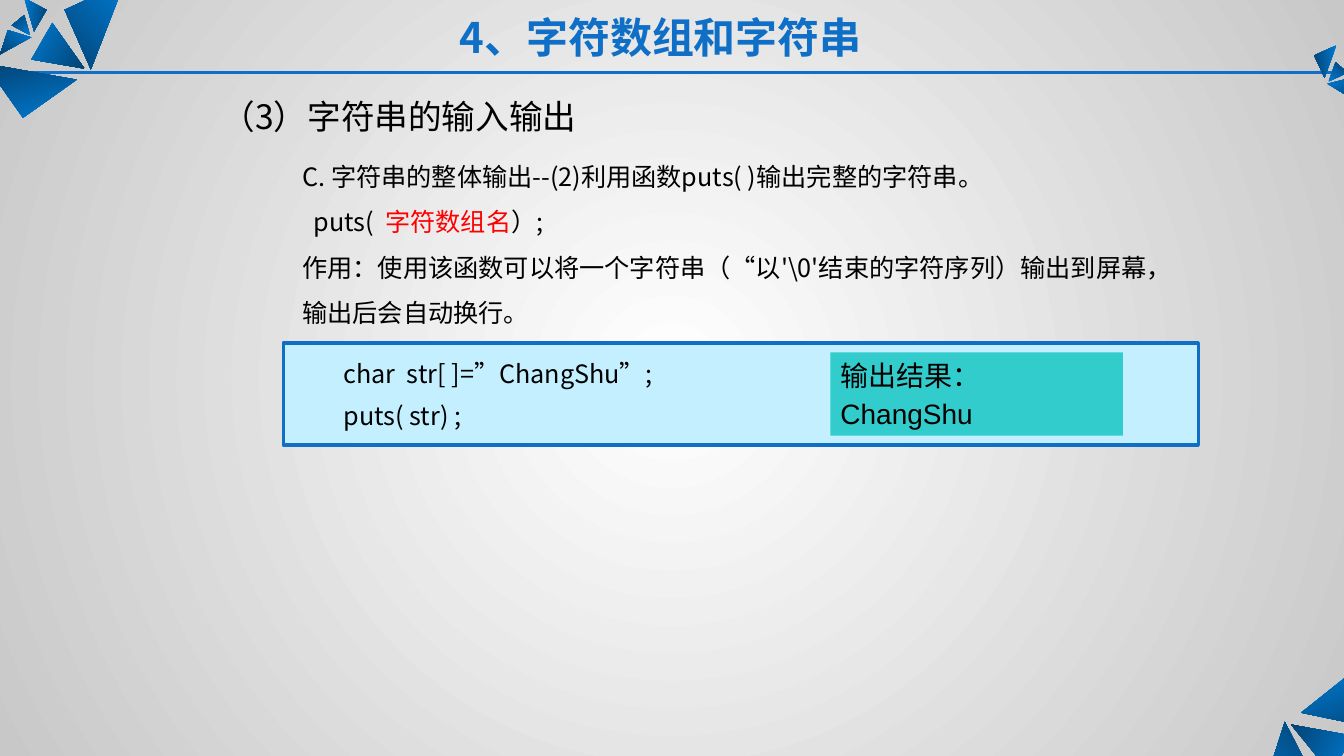
from lxml import etree
from pptx import Presentation
from pptx.dml.color import RGBColor
from pptx.enum.shapes import MSO_CONNECTOR, MSO_SHAPE
from pptx.enum.text import MSO_ANCHOR, MSO_AUTO_SIZE, PP_ALIGN
from pptx.oxml.ns import qn
from pptx.util import Cm, Pt

BLUE = "0F6FC6"
BLACK = "000000"
CJK_FONT = "Noto Sans CJK SC"


def rgb(value):
    return RGBColor.from_string(value)


def style(frame, size, line_spacing, color=BLACK):
    """Format every paragraph and run, for Latin and East Asian text alike."""
    frame.word_wrap = True
    frame.auto_size = MSO_AUTO_SIZE.NONE
    for paragraph in frame.paragraphs:
        paragraph.alignment = PP_ALIGN.LEFT
        paragraph.line_spacing = line_spacing
        for run in paragraph.runs:
            run.font.name = CJK_FONT
            run.font.size = Pt(size)
            run.font.color.rgb = rgb(color)
            east_asian = etree.SubElement(run.font._element, qn("a:ea"))
            east_asian.set("typeface", CJK_FONT)


deck = Presentation()
deck.slide_width = Cm(33.87)
deck.slide_height = Cm(19.05)
slide = deck.slides.add_slide(deck.slide_layouts[5])
shapes = slide.shapes

# Background: white centre fading to grey
backdrop = slide.background.fill
backdrop.gradient()
for stop, color in zip(backdrop.gradient_stops, ("FFFFFF", "C8C8C8")):
    stop.color.rgb = rgb(color)
linear = slide.background._cSld.find(".//" + qn("a:lin"))
radial = etree.Element(qn("a:path"), path="circle")
etree.SubElement(radial, qn("a:fillToRect"), l="50000", t="50000", r="50000", b="50000")
linear.getparent().replace(linear, radial)

# Rule under the header
rule = shapes.add_connector(MSO_CONNECTOR.STRAIGHT, Cm(0.08), Cm(1.83), Cm(33.99), Cm(1.83))
rule.line.color.rgb = rgb(BLUE)
rule.line.width = Pt(2.25)
etree.SubElement(rule._element.spPr, qn("a:effectLst"))

# Corner triangles: rotation of the gradient, then corners in cm
triangles = [
    (224.2, [(31.6, 20.6), (32.38, 18.19), (33.25, 19.89)]),
    (119.1, [(34.09, 18.54), (32.54, 18.26), (33.55, 19.51)]),
    (343.5, [(34.16, 16.87), (32.79, 17.96), (35.26, 18.47)]),
    (45.5, [(3.15, -0.46), (2.29, 1.75), (1.63, 0.25)]),
    (300.5, [(0.79, 1.5), (2.13, 1.73), (1.32, 0.58)]),
    (164.9, [(0.58, 2.97), (1.93, 2.01), (-0.38, 1.6)]),
    (38, [(0, 1.37), (0.79, 0.94), (0.2, 0.76)]),
    (143.1, [(0.61, 0.38), (0.76, 0.89), (0.3, 0.64)]),
    (278.7, [(1.17, 0.25), (0.86, 0.79), (0.61, -0.05)]),
    (325, [(34.21, 2.57), (33.45, 2.11), (34.06, 1.96)]),
    (219.9, [(33.66, 1.57), (33.48, 2.06), (33.96, 1.83)]),
    (84.3, [(33.12, 1.4), (33.38, 1.96), (33.68, 1.14)]),
]
for rotation, corners in triangles:
    start, *others = [(Cm(x), Cm(y)) for x, y in corners]
    outline = shapes.build_freeform(*start)
    outline.add_line_segments(others, close=True)
    triangle = outline.convert_to_shape()
    triangle.shadow.inherit = False
    triangle.line.fill.background()
    triangle.fill.gradient()
    triangle.fill.gradient_angle = (270 - rotation) % 360
    for stop, color in zip(triangle.fill.gradient_stops, ("007BD3", "034373")):
        stop.color.rgb = rgb(color)

# Explanation of puts
explanation = shapes.add_textbox(Cm(3.58), Cm(3.54), Cm(25.88), Cm(6.4)).text_frame
explanation.margin_left = Cm(4.04)
explanation.text = "C. 字符串的整体输出--(2)利用函数puts( )输出完整的字符串。"
syntax = explanation.add_paragraph()
for part in ("  puts(  ", "字符数组名", "）;"):
    syntax.add_run().text = part
explanation.add_paragraph().text = (
    "作用：使用该函数可以将一个字符串（“以'\\0'结束的字符序列）输出到屏幕，输出后会自动换行。"
)
style(explanation, 18, Pt(32.6))
syntax.runs[1].font.color.rgb = rgb("FF0000")

# Section title
section = shapes.title
section.left, section.top, section.width, section.height = Cm(5.33), Cm(1.9), Cm(22.23), Cm(1.68)
section.text_frame.text = "（3）字符串的输入输出"
section.text_frame.vertical_anchor = MSO_ANCHOR.BOTTOM
style(section.text_frame, 24, 0.9)

# Chapter header
chapter = shapes.add_textbox(Cm(2.11), Cm(0.1), Cm(29.08), Cm(1.55)).text_frame
chapter.text = "4、字符数组和字符串"
style(chapter, 30, Pt(38), BLUE)
chapter.paragraphs[0].alignment = PP_ALIGN.CENTER
chapter.paragraphs[0].runs[0].font.bold = True

# Code sample
sample = shapes.add_shape(MSO_SHAPE.RECTANGLE, Cm(7.14), Cm(8.64), Cm(23.06), Cm(2.57))
sample.shadow.inherit = False
sample.fill.solid()
sample.fill.fore_color.rgb = rgb("C4EFFF")
sample.line.color.rgb = rgb(BLUE)
sample.line.width = Pt(2.5)
sample.text_frame.margin_left = Cm(1.52)
sample.text_frame.margin_top = 0
sample.text_frame.margin_bottom = Cm(0.25)
sample.text_frame.vertical_anchor = MSO_ANCHOR.MIDDLE
sample.text_frame.text = "char  str[ ]=”ChangShu”;\nputs( str) ;"
style(sample.text_frame, 18, Pt(30))

# Output of the sample, inside the code box
output = shapes.add_shape(MSO_SHAPE.RECTANGLE, Cm(20.93), Cm(8.88), Cm(7.37), Cm(2.1))
output.shadow.inherit = False
output.fill.solid()
output.fill.fore_color.rgb = rgb("33CCCC")
output.line.fill.background()
output.text_frame.margin_top = 0
output.text_frame.margin_bottom = Cm(0.1)
output.text_frame.vertical_anchor = MSO_ANCHOR.MIDDLE
output.text_frame.text = "输出结果：\nChangShu"
style(output.text_frame, 20, Pt(27))
output.text_frame.paragraphs[1].runs[0].font.name = "Arial"

deck.save("out.pptx")
